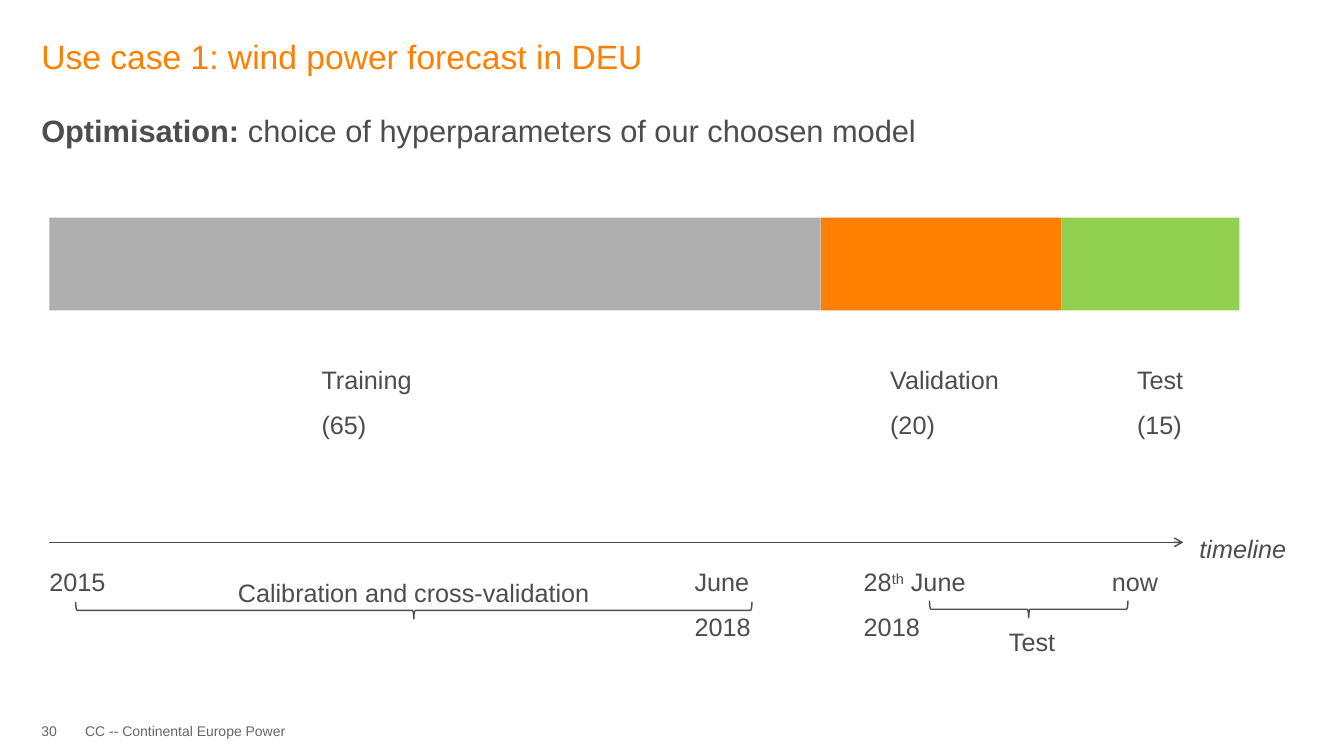
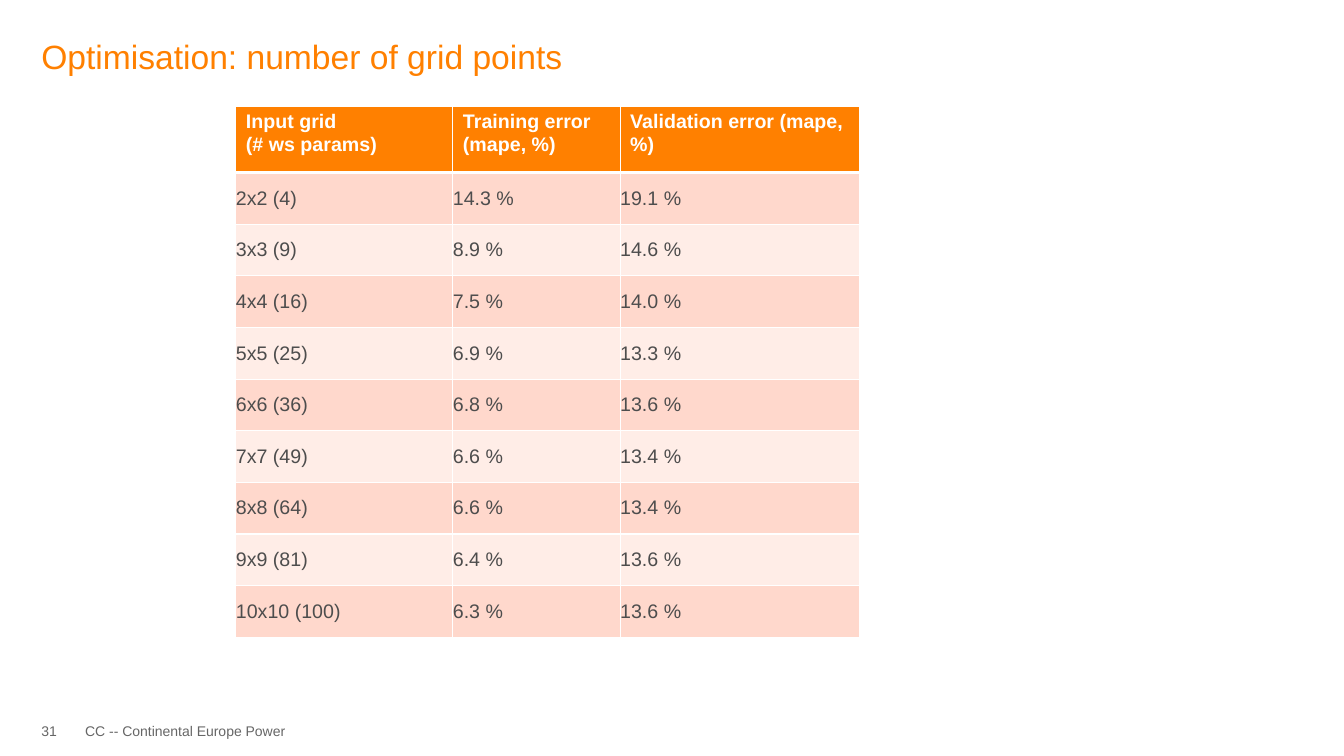
import pptx
import pptx.util
import pptx.dml.color
import pptx.enum.shapes
import pptx.enum.text
import pptx.oxml.ns
import lxml.etree

Pt = pptx.util.Pt
RGB = pptx.dml.color.RGBColor
SHAPE = pptx.enum.shapes.MSO_SHAPE
ALIGN = pptx.enum.text.PP_ALIGN
ANCHOR = pptx.enum.text.MSO_ANCHOR
qn = pptx.oxml.ns.qn

ORANGE = RGB(0xFF, 0x80, 0x00)
GREY = RGB(0xAF, 0xAF, 0xAF)
GREEN = RGB(0x92, 0xD0, 0x50)
INK = RGB(0x4D, 0x4D, 0x4D)
FOOTER_INK = RGB(0x66, 0x66, 0x66)
WHITE = RGB(0xFF, 0xFF, 0xFF)
BANDS = (RGB(0xFF, 0xD8, 0xCC), RGB(0xFF, 0xED, 0xE7))
FONT = "Arial"

MARGIN = 29.5
BAR_LEFT, BAR_TOP, BAR_HEIGHT = 35.3, 155.5, 66.2
AXIS_END, AXIS_Y = 845.3, 387.4
BRACE_DEPTH = 12.2

FOOTER = "CC -- Continental Europe Power"
SPLIT_TITLE = "Use case 1: wind power forecast in DEU"
SUBTITLE = [("Optimisation: ", {"bold": True}),
            ("choice of hyperparameters of our choosen model", {})]
SEGMENTS = [(551, GREY), (172, ORANGE), (127, GREEN)]
SEGMENT_LABELS = [("Training (65)", 229.7, 72), ("Validation (20)", 635.8, 80.6),
                  ("Test (15)", 812.2, 60.5)]
DATES = [
    ([("2015", {})], 35.3, 53.3),
    ([("June 2018", {})], 496.1, 82.8),
    ([("28", {}), ("th", {"superscript": True}), (" June 2018", {})], 617, 117.4),
    ([("now", {})], 794.2, 59),
]
PERIODS = [
    ("Calibration and cross-validation", (62.6, 401.8, 465.8), (295.6, 436, 483.1)),
    ("Test", (617, 436.3, 240.5), (734.8, 435.2, 141.8)),
]

GRID_TITLE = "Optimisation: number of grid points"
GRID_HEADER = ["Input grid\n(# ws params)", "Training error (mape, %)",
               "Validation error (mape, %)"]
GRID_ERRORS = [
    ("2x2 (4)", "14.3 %", "19.1 %"),
    ("3x3 (9)", "8.9 %", "14.6 %"),
    ("4x4 (16)", "7.5 %", "14.0 %"),
    ("5x5 (25)", "6.9 %", "13.3 %"),
    ("6x6 (36)", "6.8 %", "13.6 %"),
    ("7x7 (49)", "6.6 %", "13.4 %"),
    ("8x8 (64)", "6.6 %", "13.4 %"),
    ("9x9 (81)", "6.4 %", "13.6 %"),
    ("10x10 (100)", "6.3 %", "13.6 %"),
]
COLUMN_WIDTHS = (155, 119.5, 171.4)
HEADER_HEIGHT, ROW_HEIGHT = 47.5, 36.88


def style_font(font, size, color, bold=False, italic=False):
    font.name = FONT
    font.size = Pt(size)
    font.color.rgb = color
    font.bold = bold
    font.italic = italic


def clear_insets(frame):
    frame.margin_left = frame.margin_top = frame.margin_right = frame.margin_bottom = 0


def add_text(slide, pieces, left, top, width, height, size=18, color=INK,
             spacing=None, align=ALIGN.LEFT, wrap=False):
    frame = slide.shapes.add_textbox(Pt(left), Pt(top), Pt(width), Pt(height)).text_frame
    clear_insets(frame)
    frame.word_wrap = wrap
    paragraph = frame.paragraphs[0]
    paragraph.alignment = align
    paragraph.line_spacing = spacing
    for words, look in pieces:
        run = paragraph.add_run()
        run.text = words
        style_font(run.font, size, color, look.get("bold", False), look.get("italic", False))
        if look.get("superscript"):
            run._r.get_or_add_rPr().set("baseline", "30000")
    return paragraph


def add_titled_slide(deck, title, number):
    slide = deck.slides.add_slide(deck.slide_layouts[5])
    heading = slide.shapes.title
    heading.left, heading.top = Pt(MARGIN), Pt(23)
    heading.width, heading.height = Pt(901.4), Pt(33.8)
    frame = heading.text_frame
    frame.text = title
    clear_insets(frame)
    frame.auto_size = pptx.enum.text.MSO_AUTO_SIZE.NONE
    frame.vertical_anchor = ANCHOR.MIDDLE
    frame.paragraphs[0].alignment = ALIGN.LEFT
    style_font(frame.paragraphs[0].runs[0].font, 24, ORANGE)
    for words, left, width in ((str(number), MARGIN, 30.2), (FOOTER, 60.8, 419)):
        add_text(slide, [(words, {})], left, 516.2, width, 23.8, 10, FOOTER_INK, wrap=True)
    return slide


def add_brace(slide, center_x, center_y, length):
    brace = slide.shapes.add_shape(
        SHAPE.RIGHT_BRACE, Pt(center_x - BRACE_DEPTH / 2), Pt(center_y - length / 2),
        Pt(BRACE_DEPTH), Pt(length))
    brace.rotation = 90
    brace.shadow.inherit = False
    brace.fill.background()
    brace.line.color.rgb = INK
    brace.line.width = Pt(1)


def add_time_axis(slide):
    axis = slide.shapes.add_connector(
        pptx.enum.shapes.MSO_CONNECTOR.STRAIGHT,
        Pt(BAR_LEFT), Pt(AXIS_Y), Pt(AXIS_END), Pt(AXIS_Y))
    axis.line.color.rgb = INK
    axis.line.width = Pt(1)
    properties = axis._element.spPr
    lxml.etree.SubElement(properties.find(qn("a:ln")), qn("a:tailEnd"), type="arrow")
    lxml.etree.SubElement(properties, qn("a:effectLst"))


def build_split_slide(deck):
    slide = add_titled_slide(deck, SPLIT_TITLE, 30)
    add_text(slide, SUBTITLE, MARGIN, 82.8, 812.9, 36, 22,
             spacing=0.9, wrap=True).space_after = Pt(10)
    left = BAR_LEFT
    for width, color in SEGMENTS:
        segment = slide.shapes.add_shape(
            SHAPE.RECTANGLE, Pt(left), Pt(BAR_TOP), Pt(width), Pt(BAR_HEIGHT))
        segment.shadow.inherit = False
        segment.fill.solid()
        segment.fill.fore_color.rgb = color
        segment.line.fill.background()
        left += width
    for label, left, width in SEGMENT_LABELS:
        add_text(slide, [(label, {})], left, 249.1, width, 72, spacing=1.5)
    add_time_axis(slide)
    for date, left, width in DATES:
        add_text(slide, date, left, 393.8, width, 36, spacing=1.5)
    for period, (left, top, width), brace in PERIODS:
        add_text(slide, [(period, {})], left, top, width, 36, spacing=1.5, align=ALIGN.CENTER)
        add_brace(slide, *brace)
    add_text(slide, [("timeline", {"italic": True})], 856.8, 370.1, 72, 72, spacing=1.5)


def add_borders(cell, bottom_width):
    properties = cell._tc.get_or_add_tcPr()
    for side, width in (("L", 1), ("R", 1), ("T", 1), ("B", bottom_width)):
        border = lxml.etree.SubElement(properties, qn("a:ln" + side), w=str(Pt(width)))
        fill = lxml.etree.SubElement(border, qn("a:solidFill"))
        lxml.etree.SubElement(fill, qn("a:srgbClr"), val=str(WHITE))


def build_grid_slide(deck):
    slide = add_titled_slide(deck, GRID_TITLE, 31)
    rows = [GRID_HEADER] + GRID_ERRORS
    table = slide.shapes.add_table(
        len(rows), len(COLUMN_WIDTHS), Pt(168.5), Pt(75.8), Pt(sum(COLUMN_WIDTHS)),
        Pt(HEADER_HEIGHT + ROW_HEIGHT * len(GRID_ERRORS))).table
    for column, width in zip(table.columns, COLUMN_WIDTHS):
        column.width = Pt(width)
    for index, values in enumerate(rows):
        is_header = index == 0
        table.rows[index].height = Pt(HEADER_HEIGHT if is_header else ROW_HEIGHT)
        for column, value in enumerate(values):
            cell = table.cell(index, column)
            cell.text_frame.text = value
            add_borders(cell, 3 if is_header else 1)
            cell.fill.solid()
            cell.fill.fore_color.rgb = ORANGE if is_header else BANDS[(index - 1) % 2]
            if not is_header:
                clear_insets(cell)
                cell.vertical_anchor = ANCHOR.MIDDLE
            for paragraph in cell.text_frame.paragraphs:
                for run in paragraph.runs:
                    style_font(run.font, 14, WHITE if is_header else INK, bold=is_header)


def main():
    deck = pptx.Presentation()
    deck.slide_width, deck.slide_height = Pt(960), Pt(540)
    build_split_slide(deck)
    build_grid_slide(deck)
    deck.save("out.pptx")


if __name__ == "__main__":
    main()
